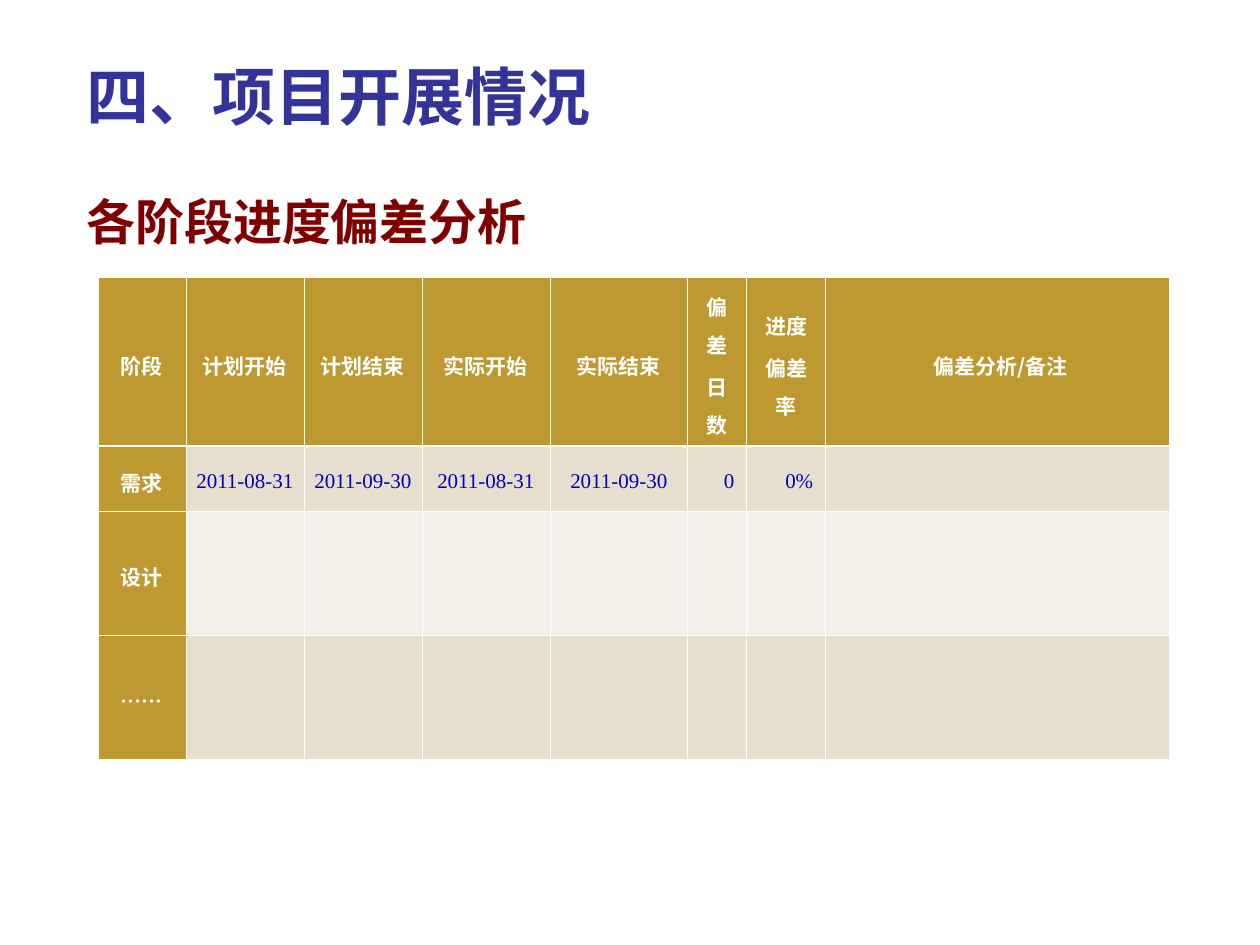
from dataclasses import dataclass

from lxml.etree import SubElement
from pptx import Presentation
from pptx.dml.color import RGBColor
from pptx.enum.text import MSO_ANCHOR as Anchor, PP_ALIGN as Align
from pptx.oxml.ns import qn
from pptx.util import Emu, Pt

PX = 914400 // 126  # EMU per px
TITLE_ONLY = 5


@dataclass(frozen=True)
class Theme:
    serif: str = "Times New Roman"
    sans: str = "Noto Sans CJK SC"
    title: str = "333399"
    subtitle: str = "800000"
    value: str = "0000C0"
    white: str = "FFFFFF"
    gold: str = "BE9932"
    bands: tuple = ("E8DECD", "F4EFE8")
    title_size: int = 36
    subtitle_size: int = 28
    table_size: int = 12
    thin: float = 0.45
    thick: float = 1.5


def px(*lengths):
    return [Emu(length * PX) for length in lengths]


def apply(target, values):
    for name, value in values.items():
        setattr(target, name, value)


class SlideBuilder:
    def __init__(self, presentation, theme):
        self.theme = theme
        self.slide = presentation.slides.add_slide(presentation.slide_layouts[TITLE_ONLY])

    def set_text(self, frame, text, font, size, color, bold=True, **paragraph_format):
        frame.text = text
        for paragraph in frame.paragraphs:
            apply(paragraph, paragraph_format)
            for run in paragraph.runs:
                apply(run.font, {"name": font, "size": Pt(size), "bold": bold})
                run.font.color.rgb = RGBColor.from_string(color)
                east_asian = SubElement(run.font._element, qn("a:ea"))
                east_asian.set("typeface", self.theme.sans)

    def title(self, text, box):
        shape = self.slide.shapes.title
        apply(shape, dict(zip(("left", "top", "width", "height"), px(*box))))
        shape.text_frame.vertical_anchor = Anchor.MIDDLE
        self.set_text(shape.text_frame, text, self.theme.serif, self.theme.title_size,
                      self.theme.title, alignment=Align.LEFT)

    def subtitle(self, text, box):
        frame = self.slide.shapes.add_textbox(*px(*box)).text_frame
        frame.word_wrap = True
        self.set_text(frame, text, self.theme.sans, self.theme.subtitle_size,
                      self.theme.subtitle, space_after=Pt(3.5))

    def borders(self, cell, **widths):
        properties = cell._tc.get_or_add_tcPr()
        for side in "LRTB":
            width = widths.get(side, self.theme.thin)
            line = SubElement(properties, qn(f"a:ln{side}"), w=str(Pt(width)))
            fill = SubElement(line, qn("a:solidFill"))
            SubElement(fill, qn("a:srgbClr"), val=self.theme.white)

    def cell(self, cell, text, row, column):
        theme = self.theme
        heading = row == 0 or column == 0
        # Heavier rule between the header and the first data row
        rule = {0: {"B": theme.thick}, 1: {"T": theme.thick}}
        self.borders(cell, **rule.get(row, {}))
        cell.fill.solid()
        color = theme.gold if heading else theme.bands[(row - 1) % 2]
        cell.fill.fore_color.rgb = RGBColor.from_string(color)
        cell.vertical_anchor = Anchor.MIDDLE
        narrow = column < 3
        if narrow:
            cell.margin_left, cell.margin_right = px(9, 9)
        if text:
            after = 6 if row == column == 0 else 0 if narrow else 2.5
            numeric = not heading and column in (5, 6)
            sans = "备注" in text or row > 1
            self.set_text(cell.text_frame, text, theme.sans if sans else theme.serif,
                          theme.table_size, theme.white if heading else theme.value,
                          bold=heading, line_spacing=1.25, space_after=Pt(after),
                          alignment=Align.RIGHT if numeric else Align.CENTER)

    def table(self, left, top, widths, heights, rows):
        shape = self.slide.shapes.add_table(
            len(heights), len(widths), *px(left, top, sum(widths), sum(heights)))
        table = shape.table
        for column, width in zip(table.columns, px(*widths)):
            column.width = width
        for row, height in zip(table.rows, px(*heights)):
            row.height = height
        for r, texts in enumerate(rows):
            for c in range(len(widths)):
                self.cell(table.cell(r, c), texts[c] if c < len(texts) else "", r, c)


def main():
    presentation = Presentation()
    apply(presentation, dict(zip(("slide_width", "slide_height"), px(1260, 945))))
    builder = SlideBuilder(presentation, Theme())

    # Headings
    builder.title("四、项目开展情况", (74, 35, 1101, 120))
    builder.subtitle("各阶段进度偏差分析", (74, 185, 1111, 635))

    # Schedule deviation by phase
    builder.table(
        98, 277,
        widths=(88, 118, 118, 128, 138, 59, 79, 344),
        heights=(169, 65, 124, 124),
        rows=(
            ("阶段", "计划开始", "计划结束", "实际开始", "实际结束",
             "偏差\n日数", "进度\n偏差率", " 偏差分析/备注"),
            ("需求", "2011-08-31", "2011-09-30", "2011-08-31", "2011-09-30", "0", "0%"),
            ("设计",),
            ("……",),
        ),
    )
    presentation.save("out.pptx")


if __name__ == "__main__":
    main()
